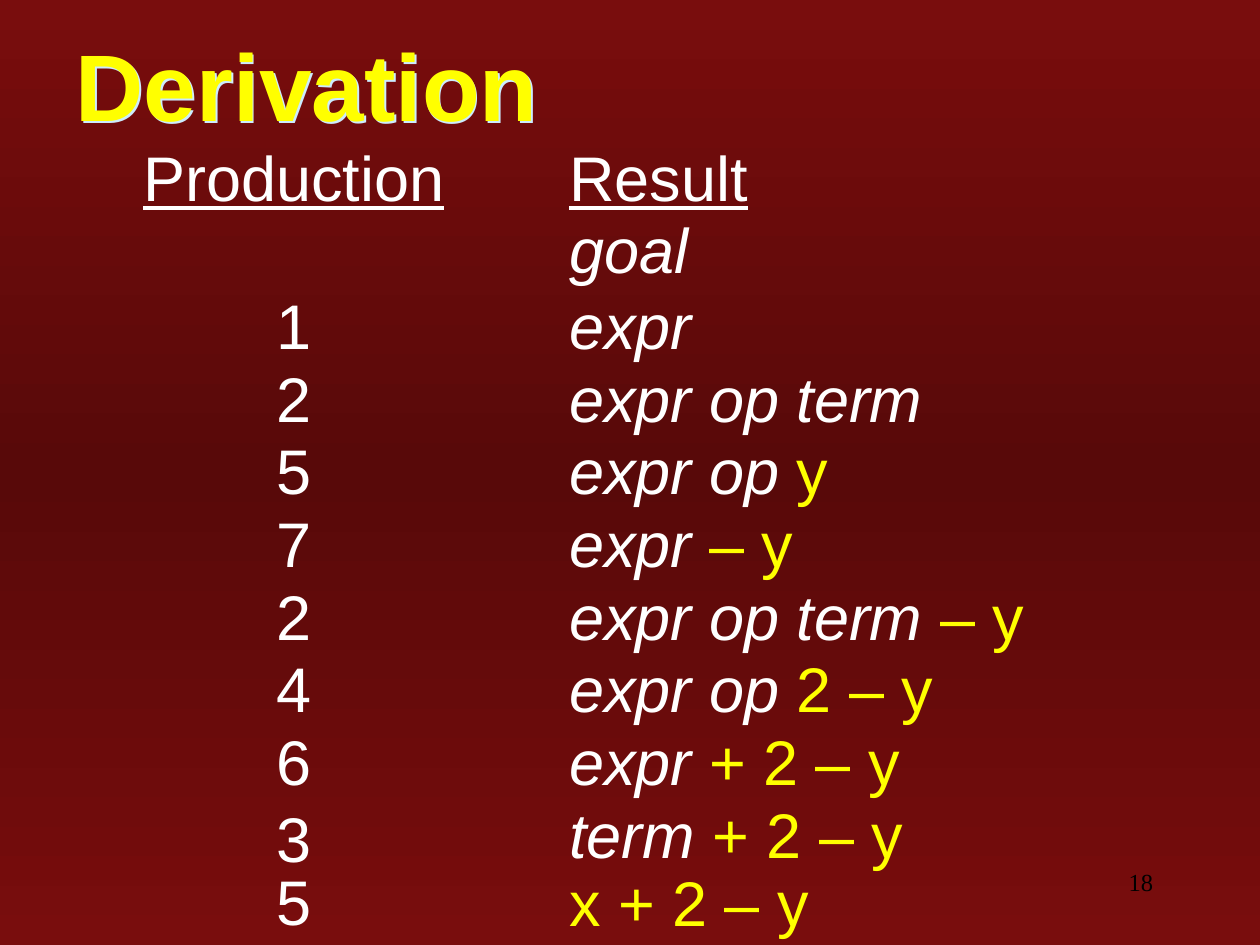
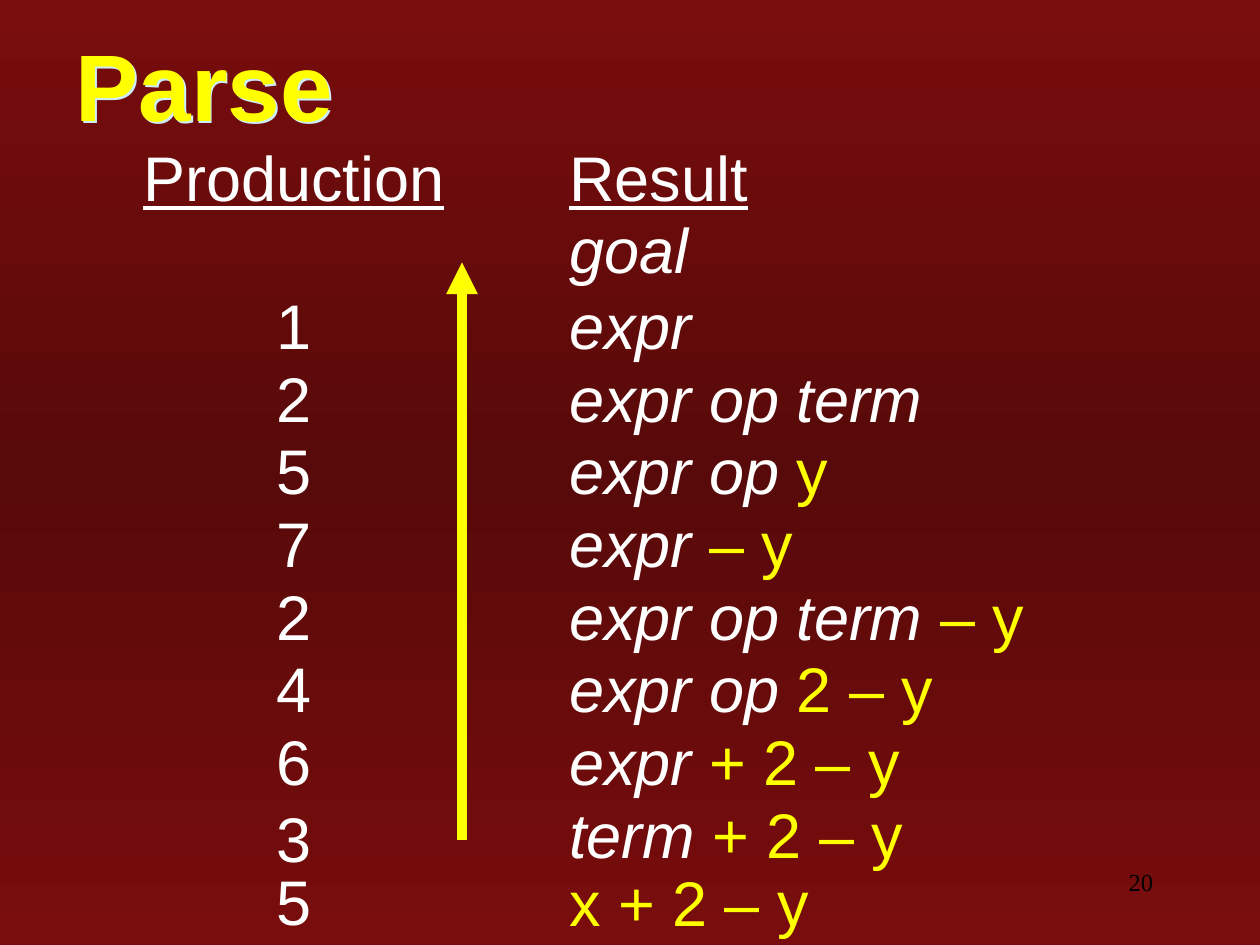
import copy

import pptx
import pptx.dml.color
import pptx.enum.shapes
import pptx.enum.text
import pptx.oxml
import pptx.oxml.ns
import pptx.util

PX = 914400 // 120  # 120 px to the inch
HUES = {"edge": "790D0D", "mid": "580909", "gold": "FFFF00",
        "white": "FFFFFF", "black": "000000", "glow": "CCECFF"}
NS = pptx.oxml.ns.nsdecls("a")
PLAIN = "{2D5ABB26-0587-4C30-8999-92F81FD0307C}"  # no style, no grid
ALIGN = pptx.enum.text.PP_ALIGN
MIDDLE = pptx.enum.text.MSO_ANCHOR.MIDDLE

SLIDES = [("Derivation", "18", False), ("Parse", "20", True)]
# Rule number, symbols still to expand, finished symbols
STEPS = [("", "goal", ""), ("1", "expr", ""), ("2", "expr op term", ""),
         ("5", "expr op ", "y"), ("7", "expr ", "– y"),
         ("2", "expr op term ", "– y"), ("4", "expr op ", "2 – y"),
         ("6", "expr ", "+ 2 – y"), ("3", "term ", "+ 2 – y"),
         ("5", "", "x + 2 – y")]
COLS = [500, 620]
ROWS = [61, 72] + [61] * 7 + [78, 46]
PADS = [(4, 4), (6, 2)]  # top and bottom margin in each column


def box(*sides):
    return [side * PX for side in sides]


def write(para, text, size=36, face="Arial", hue="white", bold=False,
          slant=False, line=False, align=ALIGN.LEFT, space=None):
    para.alignment = align
    if space:
        para.line_spacing = space
    if not text:
        return
    run = para.add_run()
    run.text = text
    font = run.font
    font.size, font.name = pptx.util.Pt(size), face
    font.bold, font.italic, font.underline = bold, slant, line
    font.color.rgb = pptx.dml.color.RGBColor.from_string(HUES[hue])


deck = pptx.Presentation()
deck.slide_width, deck.slide_height = box(1200, 900)

# Shared background: dark band across the middle
master = deck.slide_master
fill = master.background.fill
fill.gradient()
fill.gradient_angle = 90
stops = next(master.element.iter(pptx.oxml.ns.qn("a:gsLst")))
stops.insert(1, copy.deepcopy(stops[0]))
for stop, place, hue in zip(fill.gradient_stops, (0, 0.5, 1),
                            ("edge", "mid", "edge")):
    stop.position = place
    stop.color.rgb = pptx.dml.color.RGBColor.from_string(HUES[hue])

for name, page, arrow in SLIDES:
    slide = deck.slides.add_slide(deck.slide_layouts[5])

    # Title: an unfilled box, so the shadow falls from the letters
    title = slide.shapes.title
    title.left, title.top, title.width, title.height = box(60, 30, 1130, 100)
    title.fill.background()
    title.element.spPr.append(pptx.oxml.parse_xml(
        f'<a:effectLst {NS}><a:outerShdw dist="17961" dir="2700000">'
        f'<a:srgbClr val="{HUES["glow"]}"/></a:outerShdw></a:effectLst>'))
    frame = title.text_frame
    frame.auto_size = pptx.enum.text.MSO_AUTO_SIZE.NONE
    frame.vertical_anchor = MIDDLE
    write(frame.paragraphs[0], name, size=54, hue="gold", bold=True)

    # Page number
    note = slide.shapes.add_textbox(*box(860, 820, 250, 60)).text_frame
    note.word_wrap = True
    write(note.paragraphs[0], page, size=14, face="Times New Roman",
          hue="black", align=ALIGN.RIGHT)

    # Derivation steps
    shape = slide.shapes.add_table(len(ROWS), 2, *box(30, 140, sum(COLS), sum(ROWS)))
    table = shape.table
    table.first_row = table.horz_banding = False
    next(shape.element.iter(pptx.oxml.ns.qn("a:tableStyleId"))).text = PLAIN
    for col, width in zip(table.columns, COLS):
        col.width = width * PX
    for row, height in zip(table.rows, ROWS):
        row.height = height * PX
        for cell, pads in zip(row.cells, PADS):
            cell.fill.background()
            cell.margin_top, cell.margin_bottom = box(*pads)
        row.cells[0].vertical_anchor = MIDDLE
    for cell, text, align in zip(table.rows[0].cells, ("Production", "Result"),
                                 (ALIGN.CENTER, ALIGN.LEFT)):
        write(cell.text_frame.paragraphs[0], text, line=True, align=align, space=0.85)
    for at, (rule, open_part, done) in enumerate(STEPS, 1):
        space = 0.6 if at == len(STEPS) else 0.85
        left, right = [cell.text_frame.paragraphs[0] for cell in table.rows[at].cells]
        write(left, rule, align=ALIGN.CENTER, space=space)
        write(right, open_part, slant=True, space=space)
        write(right, done, hue="gold", space=space)

    # Upward arrow: a parse reads the steps in reverse
    if arrow:
        line = slide.shapes.add_connector(
            pptx.enum.shapes.MSO_CONNECTOR.STRAIGHT, *box(440, 800, 440, 250))
        line.line.width = pptx.util.Pt(6)
        line.line.color.rgb = pptx.dml.color.RGBColor.from_string(HUES["gold"])
        line.line._get_or_add_ln().append(
            pptx.oxml.parse_xml(f'<a:tailEnd {NS} type="triangle"/>'))
        line.element.spPr.append(pptx.oxml.parse_xml(f"<a:effectLst {NS}/>"))

deck.save("out.pptx")
